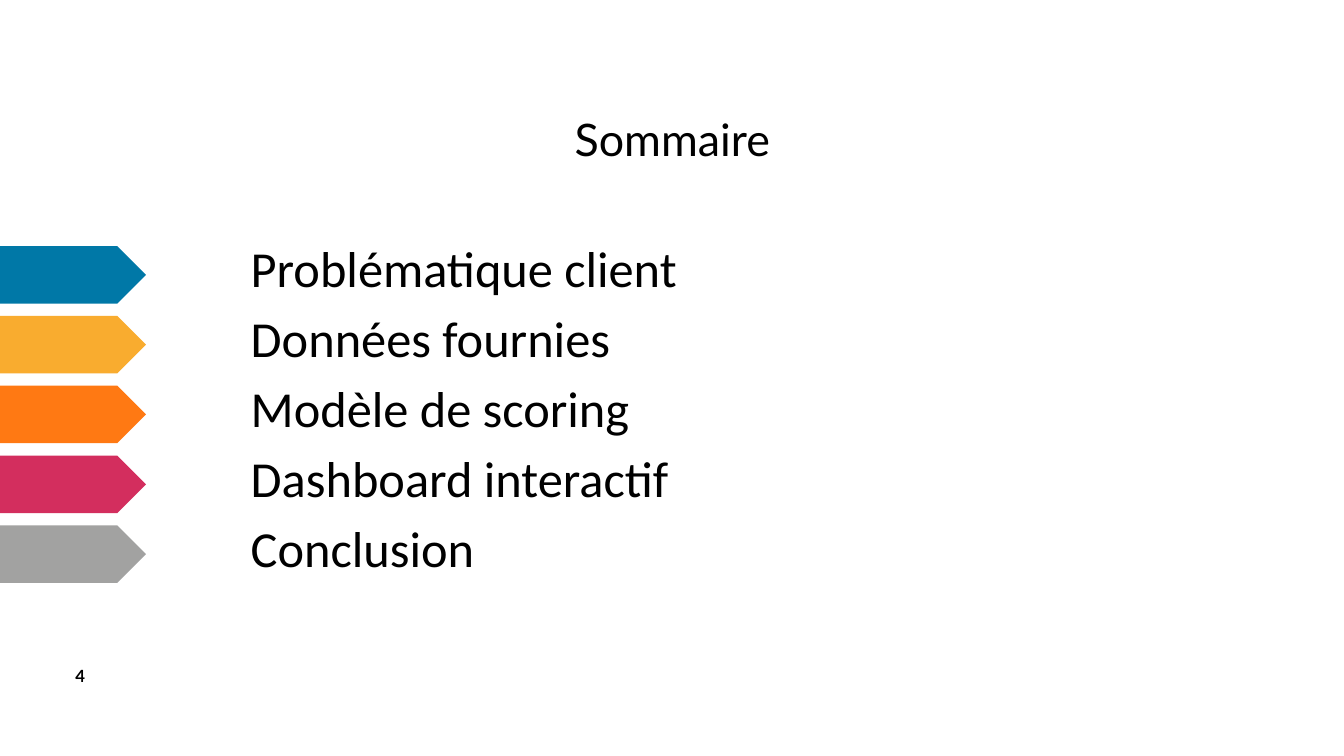
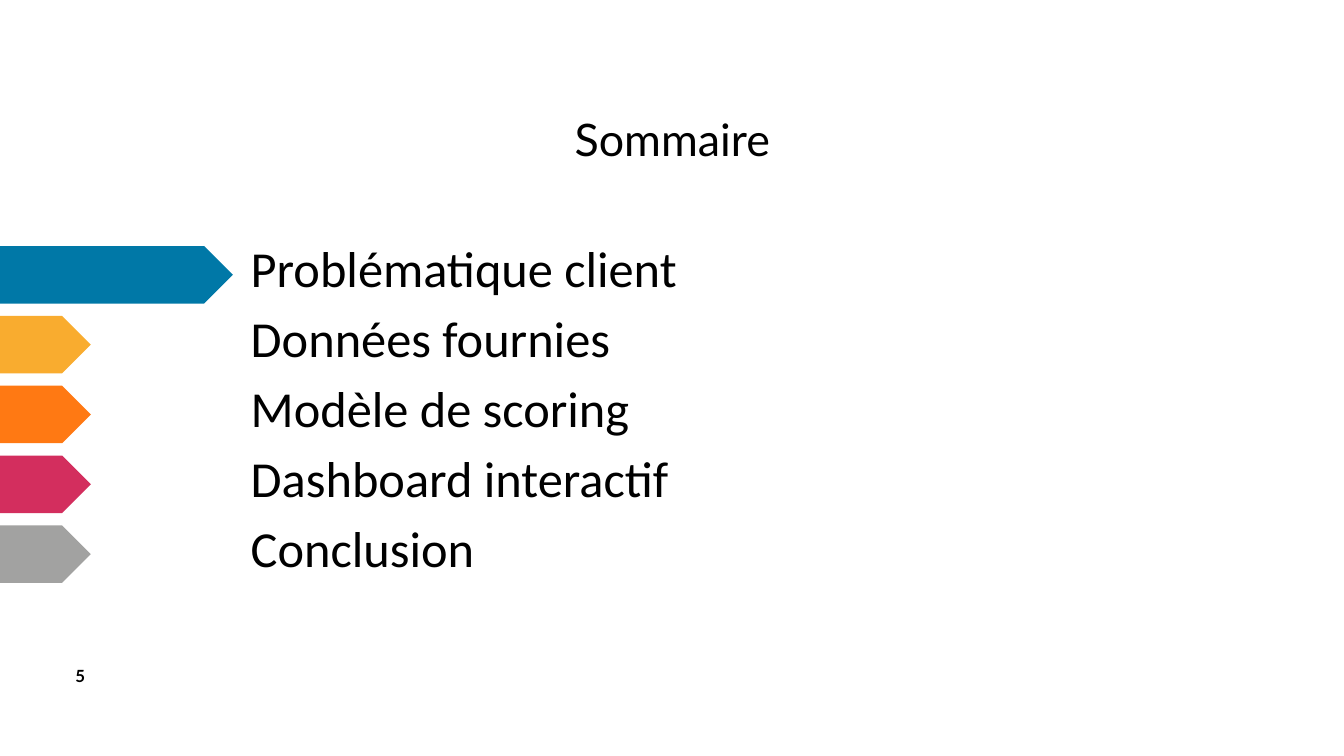
from dataclasses import dataclass

from pptx import Presentation
from pptx.dml.color import RGBColor
from pptx.enum.shapes import MSO_SHAPE
from pptx.enum.text import MSO_ANCHOR, MSO_AUTO_SIZE, PP_ALIGN
from pptx.util import Cm, Pt

PENTAGON = MSO_SHAPE.PENTAGON
CENTER = PP_ALIGN.CENTER
MIDDLE = MSO_ANCHOR.MIDDLE
NO_AUTOFIT = MSO_AUTO_SIZE.NONE
TITLE_ONLY = 5


@dataclass(frozen=True)
class Theme:
    text: RGBColor = RGBColor(0, 0, 0)
    heading_font: str = "Lato"
    body_font: str = "Calibri"
    title_size: Pt = Pt(32)
    entry_size: Pt = Pt(36)
    number_size: Pt = Pt(12)


THEME = Theme()

CHAPTERS = [
    ("Problématique client", "0078A7"),
    ("Données fournies", "F9AC2F"),
    ("Modèle de scoring", "FF7913"),
    ("Dashboard interactif", "D32E5E"),
    ("Conclusion", "A2A2A1"),
]

FIRST_ROW = Cm(6.2)
ROW_PITCH = Cm(1.76)
ARROW_HEIGHT = Cm(1.45)
ARROW_WIDTH = Cm(3.68)
ACTIVE_WIDTH = Cm(5.87)
INACTIVE_WIDTH = Cm(2.29)
ENTRY_LEFT = Cm(6.32)
ENTRY_OFFSET = Cm(0.08)
ENTRY_WIDTH = Cm(13.2)
ENTRY_HEIGHT = Cm(1.27)


def format_runs(paragraph, font_name, size, bold=False):
    for run in paragraph.runs:
        run.font.name = font_name
        run.font.size = size
        run.font.bold = bold
        run.font.color.rgb = THEME.text


def set_title(slide, text):
    title = slide.shapes.title
    title.left, title.top = Cm(4.98), Cm(2.9)
    title.width, title.height = Cm(23.93), Cm(1.37)
    frame = title.text_frame
    frame.text = text
    frame.auto_size = NO_AUTOFIT
    frame.vertical_anchor = MIDDLE
    paragraph = frame.paragraphs[0]
    paragraph.alignment = CENTER
    paragraph.line_spacing = 0.9
    format_runs(paragraph, THEME.heading_font, THEME.title_size)


def add_page_number(slide, number):
    box = slide.shapes.add_textbox(Cm(1.65), Cm(16.64), Cm(1.02), Cm(0.76))
    frame = box.text_frame
    frame.word_wrap = True
    frame.text = str(number)
    format_runs(frame.paragraphs[0], THEME.heading_font, THEME.number_size, bold=True)


def add_arrow(slide, top, width, color):
    arrow = slide.shapes.add_shape(PENTAGON, 0, top, width, ARROW_HEIGHT)
    arrow.shadow.inherit = False
    arrow.fill.solid()
    arrow.fill.fore_color.rgb = RGBColor.from_string(color)
    arrow.line.fill.background()


def add_entry(slide, top, text):
    entry = slide.shapes.add_textbox(ENTRY_LEFT, top, ENTRY_WIDTH, ENTRY_HEIGHT)
    frame = entry.text_frame
    frame.word_wrap = True
    frame.margin_left = frame.margin_right = 0
    frame.margin_top = frame.margin_bottom = 0
    frame.text = text
    paragraph = frame.paragraphs[0]
    paragraph.line_spacing = 0.8
    format_runs(paragraph, THEME.body_font, THEME.entry_size)


def arrow_width(index, active):
    if active is None:
        return ARROW_WIDTH
    return ACTIVE_WIDTH if index == active else INACTIVE_WIDTH


def add_summary(presentation, number, active=None):
    """Add the agenda slide; the arrow of the active chapter, if any, is longer."""
    slide = presentation.slides.add_slide(presentation.slide_layouts[TITLE_ONLY])
    set_title(slide, "Sommaire")
    for index, (chapter, color) in enumerate(CHAPTERS):
        top = FIRST_ROW + index * ROW_PITCH
        add_arrow(slide, top, arrow_width(index, active), color)
        add_entry(slide, top + ENTRY_OFFSET, chapter)
    add_page_number(slide, number)


def main():
    presentation = Presentation()
    presentation.slide_width = Cm(33.87)
    presentation.slide_height = Cm(19.05)
    add_summary(presentation, 4)
    add_summary(presentation, 5, active=0)
    presentation.save("out.pptx")


if __name__ == "__main__":
    main()
